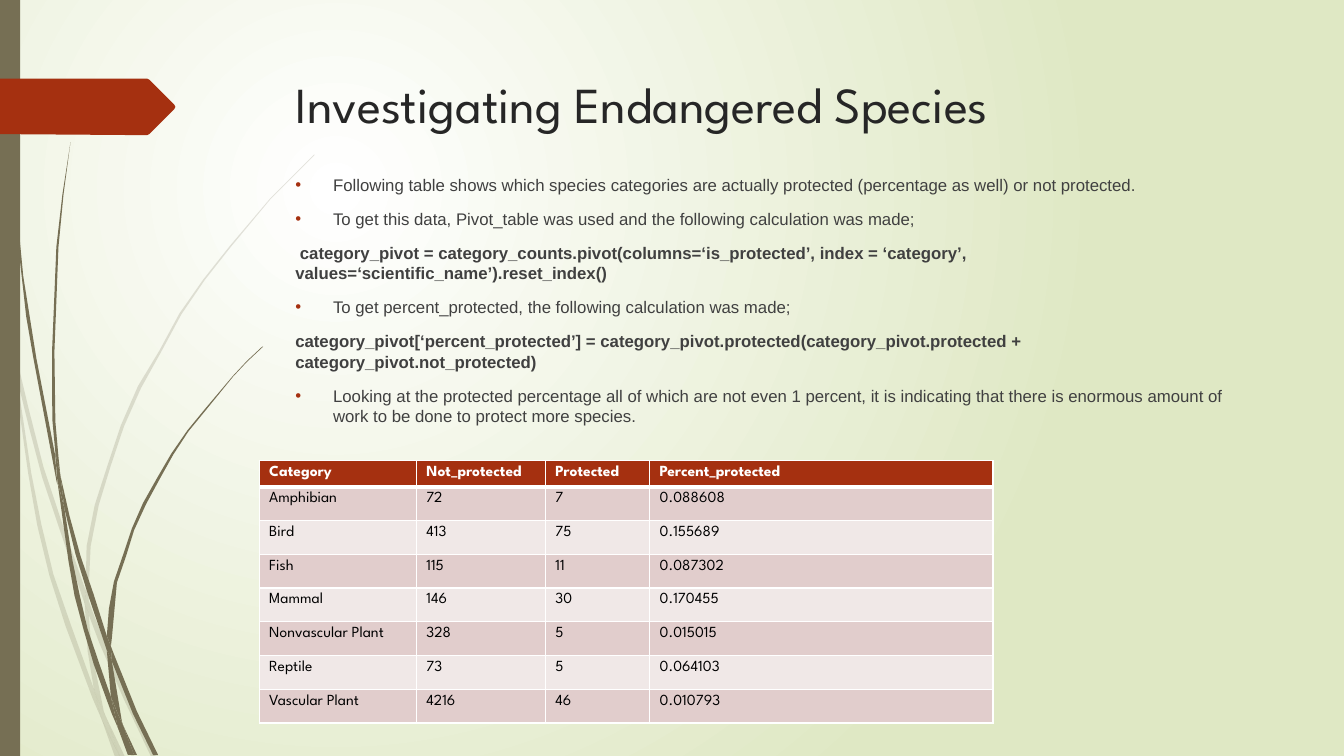
from lxml import etree
from pptx import Presentation
from pptx.dml.color import RGBColor
from pptx.enum.shapes import MSO_SHAPE
from pptx.oxml.ns import qn
from pptx.util import Pt

RECTANGLE = MSO_SHAPE.RECTANGLE
WIDTH, HEIGHT = 960, 540
OLIVE, RUST, WHITE = "766F54", "A53010", "FFFFFF"
HEADING_FONT, BODY_FONT = "League Spartan", "Arial"

# Outlines of the grass pieces, each a closed ring of corners.
PALE_GRASS = [
    [(7.9, 252), (6.5, 231.8), (0, 203), (0, 215.3), (7.2, 247.7)],
    [(41.8, 375.8), (60.5, 431.3), (61.2, 421.9), (44.6, 374.4), (31, 333.4),
     (20.2, 290.9), (10.1, 248.4), (12.2, 270.7), (20.9, 306), (30.2, 341.3)],
    [(66.2, 437), (63.4, 429.1), (63.4, 439.2), (71.3, 460.1), (88.6, 499.7),
     (108, 540.7), (111.6, 540.7), (91.4, 498.2), (78.5, 468)],
    [(85.7, 540.7), (89.3, 540.7), (75.6, 511.9)],
    [(67, 491.8), (50.4, 445.7), (38.2, 410.4), (29.5, 374.4), (22.3, 337.7),
     (12.2, 270.7), (7.9, 252), (20.2, 338.4), (26.6, 375.1), (35.3, 411.1),
     (46.8, 447.1), (66.2, 499), (72.7, 514.1), (71.3, 509)],
    [(60.5, 431.3), (62.6, 465.1), (67, 491.8), (69.1, 498.2), (75.6, 511.9),
     (74.2, 508.3), (65.5, 465.1), (63.4, 439.2), (63.4, 437.8)],
    [(63.4, 420.5), (64.8, 390.2), (70.6, 360.7), (79.2, 332.6), (88.6, 304.6),
     (100.8, 277.2), (115.2, 251.3), (129.6, 224.6), (146.2, 200.2), (164.9, 176.4),
     (193, 142.6), (224.6, 110.9), (224.6, 110.2), (193, 141.8), (164.2, 175.7),
     (145.4, 199.4), (128.2, 223.9), (113.8, 250.6), (98.6, 275.8), (86.4, 303.8),
     (77, 331.9), (67.7, 360.7), (61.9, 390.2), (61.2, 420.5), (61.2, 421.9),
     (63.4, 429.1)],
    [(72.7, 514.1), (82.1, 540.7), (85.7, 540.7)],
    [(63.4, 437.8), (63.4, 429.1), (61.2, 421.9), (60.5, 431.3)],
    [(69.1, 498.2), (67, 491.8), (71.3, 509), (72.7, 514.1), (85.7, 540.7),
     (75.6, 511.9)],
]
DARK_GRASS = [
    [(5, 79.2), (8.6, 138.2), (12.2, 167.8), (18.7, 226.1), (23.8, 255.6),
     (40.3, 343.4), (41, 346.3), (39.6, 329), (39.6, 326.2), (25.9, 255.6),
     (16.6, 197.3), (13.7, 167), (7.2, 108.7), (5.8, 78.5), (3.6, 34.6),
     (2.9, 0), (2.2, 0), (2.9, 34.6)],
    [(63.4, 426.2), (76.3, 464.4), (76.3, 454.3), (67, 424.8), (57.6, 397.4),
     (49.7, 368.6), (43.2, 339.8), (46.1, 363.6), (54, 396)],
    [(81.4, 467.3), (79.2, 461.5), (79.9, 472.3), (95, 509.8), (109.4, 539.3),
     (113, 539.3), (97.9, 508.3)],
    [(79.2, 497.5), (70.6, 473), (62.6, 449.3), (56.9, 424.8), (51.8, 400.3),
     (46.1, 363.6), (41, 343.4), (49, 401), (53.3, 425.5), (59.8, 450),
     (67, 474.5), (79.9, 509.8), (84.2, 519.8), (83.5, 516.2)],
    [(43.2, 339.8), (41.8, 326.2), (39.6, 301), (38.9, 251.3), (41.8, 176.4),
     (45.4, 139), (50.4, 101.5), (44.6, 139), (40.3, 176.4), (37.2, 251.3),
     (37.4, 299.5), (39.6, 323.3)],
    [(95.8, 539.3), (97.9, 539.3), (87.8, 517.7)],
    [(41, 343.4), (46.1, 363.6), (43.2, 339.8), (39.6, 323.3), (39.6, 326.2)],
    [(79.9, 455.8), (83.5, 416.2), (90, 397.4), (95.8, 378.7), (104.4, 360),
     (113.8, 342.7), (123.8, 324.7), (134.6, 308.2), (147.6, 292.3), (166.3, 269.3),
     (176.4, 258.5), (187.9, 247.7), (187.2, 247.7), (176.4, 257.8), (166.3, 268.6),
     (146.9, 291.6), (133.9, 307.4), (122.4, 324), (112.3, 341.3), (102.2, 359.3),
     (94.3, 377.3), (87.8, 396.7), (81.4, 415.4), (77.8, 434.9), (76.3, 454.3),
     (79.2, 461.5)],
    [(84.2, 519.8), (91.4, 539.3), (94.3, 539.3)],
    [(76.3, 464.4), (79.2, 497.5), (83.5, 508.3), (87.8, 517.7), (87.1, 515.5),
     (79.9, 472.3), (78.5, 468.7)],
    [(76.3, 464.4), (78.5, 468.7), (79.9, 472.3), (79.2, 461.5), (76.3, 454.3)],
    [(83.5, 508.3), (79.2, 497.5), (83.5, 516.2), (84.2, 519.8), (93.6, 539.3),
     (95.8, 539.3), (87.8, 517.7)],
]
ARROW_TAG = [(124.6, 77.8), (106.6, 95.8), (105.1, 96.5), (97.9, 96.5), (0, 95.8),
             (0, 56.2), (105.1, 56.2), (106.6, 56.9), (124.6, 74.9), (125.3, 76.3)]
# Style of each paragraph: "bullet" or "code".
NOTES = [
    ("bullet", "Following table shows which species categories are actually "
               "protected (percentage as well) or not protected."),
    ("bullet", "To get this data, Pivot_table was used and the following "
               "calculation was made;"),
    ("code", " category_pivot = category_counts.pivot(columns=‘is_protected’, "
             "index = ‘category’, values=‘scientific_name’).reset_index()"),
    ("bullet", "To get percent_protected, the following calculation was made;"),
    ("code", "category_pivot[‘percent_protected’] = category_pivot.protected("
             "category_pivot.protected + category_pivot.not_protected)"),
    ("bullet", "Looking at the protected percentage all of which are not even "
               "1 percent, it is indicating that there is enormous amount of "
               "work to be done to protect more species."),
]
SPECIES = [
    ("Category", "Not_protected", "Protected", "Percent_protected"),
    ("Amphibian", "72", "7", "0.088608"),
    ("Bird", "413", "75", "0.155689"),
    ("Fish", "115", "11", "0.087302"),
    ("Mammal", "146", "30", "0.170455"),
    ("Nonvascular Plant", "328", "5", "0.015015"),
    ("Reptile", "73", "5", "0.064103"),
    ("Vascular Plant", "4216", "46", "0.010793"),
]


def color(value):
    """Turn a hex string into a colour."""
    return RGBColor.from_string(value)


def paint(shape, value, opacity=100):
    """Fill a shape without line or shadow, at the given opacity percent."""
    shape.shadow.inherit = False
    shape.line.fill.background()
    shape.fill.solid()
    shape.fill.fore_color.rgb = color(value)
    if opacity < 100:
        fill_color = shape.element.spPr.find(".//" + qn("a:srgbClr"))
        etree.SubElement(fill_color, qn("a:alpha"), val=str(opacity * 1000))


def add_run(paragraph, text, font, size, value, bold=False):
    """Append one formatted run."""
    run = paragraph.add_run()
    run.text = text
    run.font.name, run.font.size, run.font.bold = font, Pt(size), bold
    run.font.color.rgb = color(value)


def add_background(slide):
    """Give the slide a circular gradient centred in its upper left quarter."""
    fill = slide.background.fill
    fill.gradient()
    for stop, value in zip(fill.gradient_stops, (WHITE, "DFE8C4")):
        stop.color.rgb = color(value)
    gradient = slide.element.find(".//" + qn("a:gradFill"))
    circle = etree.Element(qn("a:path"), path="circle")
    etree.SubElement(circle, qn("a:fillToRect"), l="50000", t="50000",
                     r="100000", b="100000")
    gradient.replace(gradient.find(qn("a:lin")), circle)


def add_outline(slide, left, top, corners, value, opacity=100):
    """Draw one filled outline, in hundredths of a point."""
    placed = [((left + x) * 100, (top + y) * 100) for x, y in corners]
    builder = slide.shapes.build_freeform(*placed[0], scale=Pt(1) / 100)
    builder.add_line_segments(placed[1:], close=True)
    paint(builder.convert_to_shape(), value, opacity)


def add_decoration(slide, left, top, height):
    """Draw the grass, the side bar and the arrow tag at the left edge."""
    for pieces, opacity in ((PALE_GRASS, 20), (DARK_GRASS, 100)):
        for corners in pieces:
            add_outline(slide, left, top, corners, OLIVE, opacity)
    bar = slide.shapes.add_shape(RECTANGLE, Pt(left), Pt(top), Pt(14.4), Pt(height))
    paint(bar, OLIVE)
    add_outline(slide, left, top, ARROW_TAG, RUST)


def add_text_frame(slide, left, top, width, height):
    """Add a wrapping text box and return its text frame."""
    box = slide.shapes.add_textbox(Pt(left), Pt(top), Pt(width), Pt(height))
    box.text_frame.word_wrap = True
    return box.text_frame


def add_title(slide, left, top, width, height):
    """Write the heading."""
    frame = add_text_frame(slide, left, top, width, height)
    add_run(frame.paragraphs[0], "Investigating Endangered Species",
            HEADING_FONT, 36, "262626")


def add_notes(slide, left, top, width, height):
    """Write the bulleted explanations and the bold lines of code."""
    frame = add_text_frame(slide, left, top, width, height)
    for index, (style, text) in enumerate(NOTES):
        paragraph = frame.add_paragraph() if index else frame.paragraphs[0]
        paragraph.space_before = Pt(10)
        if style == "bullet":
            properties = paragraph._p.get_or_add_pPr()
            properties.set("marL", str(Pt(27)))
            properties.set("indent", str(-Pt(27)))
            bullet_color = etree.SubElement(properties, qn("a:buClr"))
            etree.SubElement(bullet_color, qn("a:srgbClr"), val=RUST)
            etree.SubElement(properties, qn("a:buFont"), typeface=BODY_FONT)
            etree.SubElement(properties, qn("a:buChar"), char="•")
        add_run(paragraph, text, BODY_FONT, 12, "404040", style == "code")


def add_borders(cell, bottom):
    """Draw white borders, with the given width at the bottom."""
    properties = cell._tc.get_or_add_tcPr()
    for index, (side, width) in enumerate(
            (("lnL", 1), ("lnR", 1), ("lnT", 1), ("lnB", bottom))):
        line = etree.Element(qn("a:" + side), w=str(Pt(width)))
        fill = etree.SubElement(line, qn("a:solidFill"))
        etree.SubElement(fill, qn("a:srgbClr"), val=WHITE)
        properties.insert(index, line)


def add_species_table(slide, left, top, width, height):
    """Build the banded table of protection counts."""
    table = slide.shapes.add_table(len(SPECIES), len(SPECIES[0]), Pt(left), Pt(top),
                                   Pt(width), Pt(height)).table
    column_widths = (112.3, 92.2, 74.4)
    for column, size in zip(table.columns, (*column_widths, width - sum(column_widths))):
        column.width = Pt(size)
    header_height = 18.7
    row_height = (height - header_height) / (len(SPECIES) - 1)
    for row, values in enumerate(SPECIES):
        header = row == 0
        table.rows[row].height = Pt(header_height if header else row_height)
        band = RUST if header else ("F0E8E7", "E1CDCC")[row % 2]
        for column, text in enumerate(values):
            cell = table.cell(row, column)
            cell.margin_bottom = Pt(0)
            cell.fill.solid()
            cell.fill.fore_color.rgb = color(band)
            add_borders(cell, 3 if header else 1)
            add_run(cell.text_frame.paragraphs[0], text, HEADING_FONT, 11,
                    WHITE if header else "000000", header)


presentation = Presentation()
presentation.slide_width, presentation.slide_height = Pt(WIDTH), Pt(HEIGHT)
slide = presentation.slides.add_slide(presentation.slide_layouts[6])
add_background(slide)
add_decoration(slide, 0, 0, HEIGHT)
add_title(slide, 204, 49, 702, 101)
add_notes(slide, 203.8, 121, 702, 345)
add_species_table(slide, 185.1, 329.1, 524.2, 187.5)
presentation.save("out.pptx")
